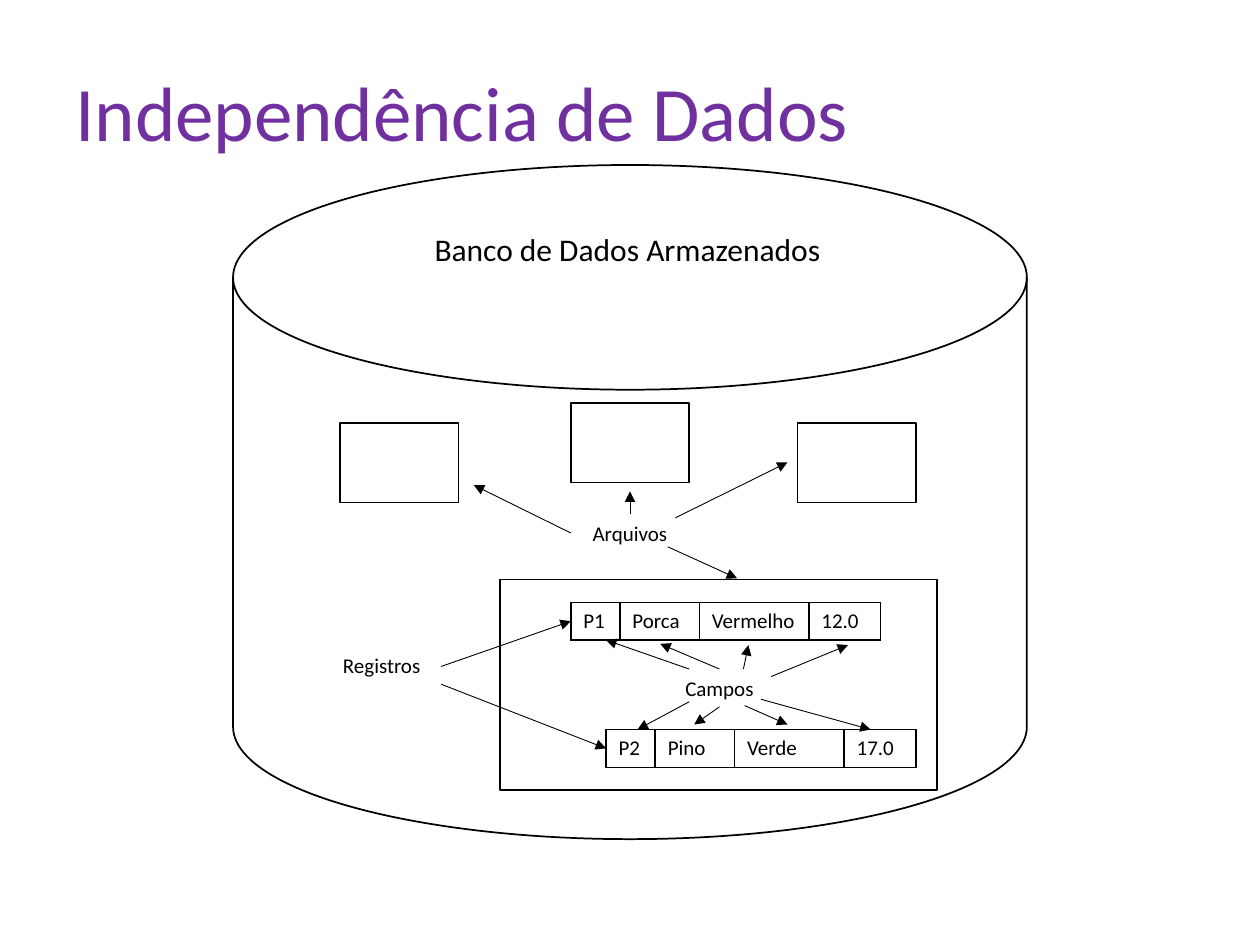
from lxml import etree
from pptx import Presentation
from pptx.dml.color import RGBColor as RGB
from pptx.enum.shapes import MSO_CONNECTOR as CONN, MSO_SHAPE as SHAPE
from pptx.enum.text import MSO_ANCHOR as ANCHOR, PP_ALIGN as ALIGN
from pptx.oxml.ns import qn
from pptx.util import Inches, Pt

COLORS = {"title": "7030A0", "ink": "000000", "paper": "FFFFFF"}
FONT = "Calibri"


def add_run(p, text, size, color="ink"):
    r = p.add_run()
    r.text = text
    r.font.name = FONT
    r.font.size = Pt(size)
    r.font.color.rgb = RGB.from_string(COLORS[color])


def add_label(s, text, box, size, align=ALIGN.LEFT, color="ink"):
    tf = s.shapes.add_textbox(*map(Inches, box)).text_frame
    tf.word_wrap = True
    p = tf.paragraphs[0]
    p.alignment = align
    add_run(p, text, size, color)
    return tf


prs = Presentation()
prs.slide_width, prs.slide_height = Inches(10), Inches(7.5)
s = prs.slides.add_slide(prs.slide_layouts[6])

tf = add_label(s, "Independência de Dados", (0.5, 0.3, 9, 1.25), 44, color="title")
tf.vertical_anchor = ANCHOR.MIDDLE
tf.paragraphs[0].line_spacing = 0.9

file_w, file_h = 0.94, 0.63
shapes = [
    (SHAPE.FLOWCHART_MAGNETIC_DISK, (1.85, 1.31, 6.3, 5.35)),
    (SHAPE.RECTANGLE, (2.7, 3.36, file_w, file_h)),
    (SHAPE.RECTANGLE, (4.53, 3.2, file_w, file_h)),
    (SHAPE.RECTANGLE, (6.33, 3.36, file_w, file_h)),
    (SHAPE.RECTANGLE, (3.97, 4.6, 3.47, 1.67)),
]
for kind, box in shapes:
    sp = s.shapes.add_shape(kind, *map(Inches, box))
    sp.shadow.inherit = False
    sp.fill.solid()
    sp.fill.fore_color.rgb = RGB.from_string(COLORS["paper"])
    sp.line.color.rgb = RGB.from_string(COLORS["ink"])
    sp.line.width = Pt(1)

add_label(s, "Banco de Dados Armazenados", (3.35, 1.78, 3.31, 0.4), 18)
for text, x, y in [("Arquivos", 4.53, 4.08), ("Campos", 5.24, 5.31), ("Registros", 2.56, 5.13)]:
    add_label(s, text, (x, y, 0.94, 0.3), 12, ALIGN.CENTER)

col_widths = [0.39, 0.63, 0.87, 0.57]
records = [
    (4.53, 4.78, ["P1", "Porca", "Vermelho", "12.0"]),
    (4.81, 5.79, ["P2", "Pino", "Verde", "17.0"]),
]
for x, y, fields in records:
    frame = s.shapes.add_table(1, len(fields), Inches(x), Inches(y), Inches(sum(col_widths)), Inches(0.3))
    table = frame.table
    table.first_row = table.horz_banding = False
    for i, (width, field) in enumerate(zip(col_widths, fields)):
        table.columns[i].width = Inches(width)
        cell = table.cell(0, i)
        add_run(cell.text_frame.paragraphs[0], field, 12)
        tc_pr = cell._tc.get_or_add_tcPr()
        for side in ("a:lnL", "a:lnR", "a:lnT", "a:lnB"):
            ln = etree.SubElement(tc_pr, qn(side), w=str(Pt(1)))
            fill = etree.SubElement(ln, qn("a:solidFill"))
            etree.SubElement(fill, qn("a:srgbClr"), val=COLORS["ink"])
        cell.fill.background()

arrows = [
    (5.47, 5.31, 4.81, 5.08),
    (5.71, 5.31, 5.24, 5.11),
    (5.9, 5.31, 5.94, 5.12),
    (6.12, 5.37, 6.73, 5.12),
    (6.04, 5.55, 6.91, 5.79),
    (5.91, 5.6, 6.25, 5.75),
    (5.71, 5.61, 5.51, 5.75),
    (5.47, 5.57, 5.06, 5.79),
    (3.5, 5.29, 4.53, 4.93),
    (3.5, 5.43, 4.81, 5.94),
    (4.53, 4.23, 3.76, 3.85),
    (5, 4.08, 5, 3.9),
    (5.36, 4.11, 6.25, 3.67),
    (5.3, 4.34, 5.85, 4.59),
]
for ends in arrows:
    arrow = s.shapes.add_connector(CONN.STRAIGHT, *map(Inches, ends))
    arrow.line.color.rgb = RGB.from_string(COLORS["ink"])
    arrow.line.width = Pt(0.5)
    etree.SubElement(arrow.line._get_or_add_ln(), qn("a:tailEnd"), type="triangle")
    etree.SubElement(arrow._element.spPr, qn("a:effectLst"))

prs.save("out.pptx")
